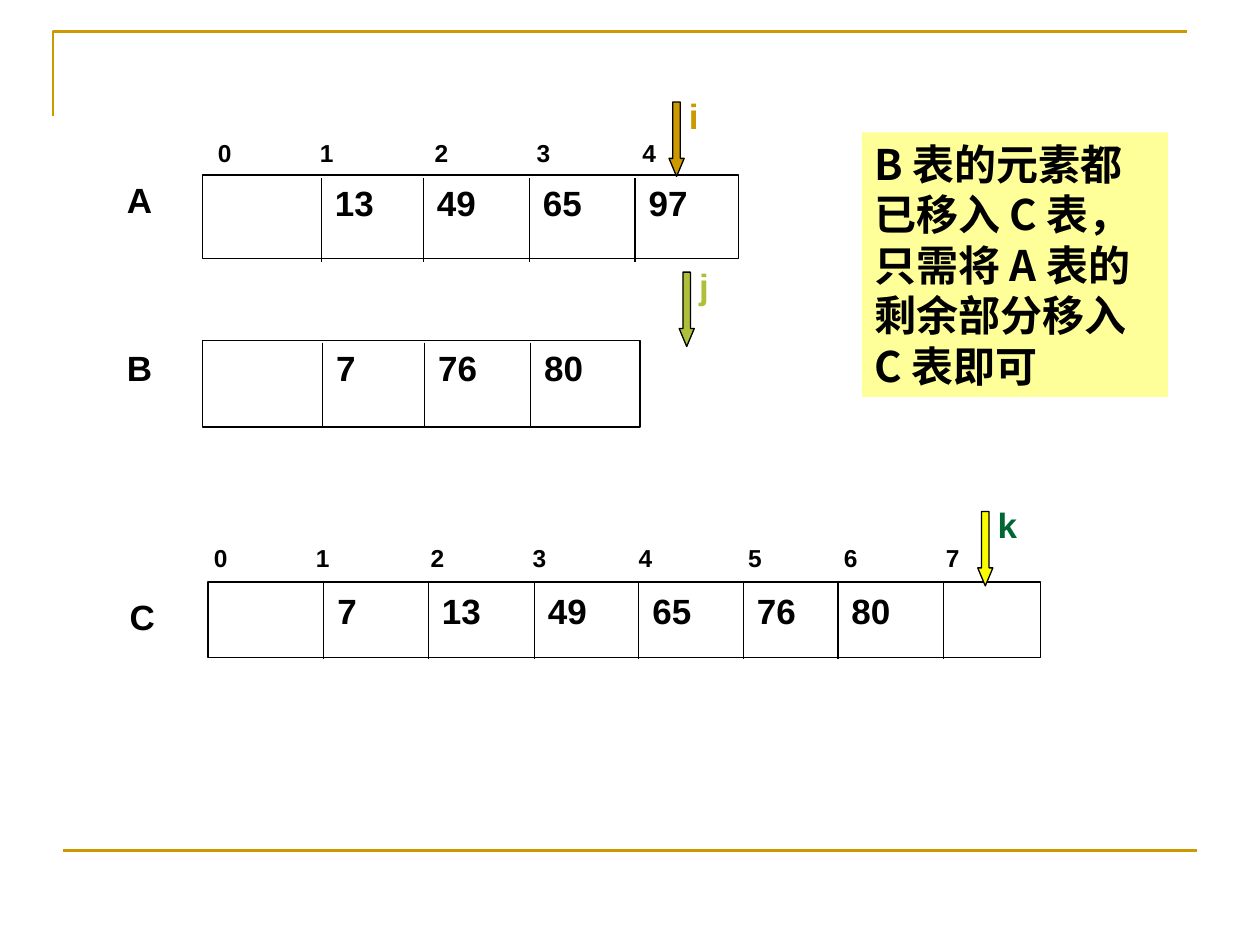
"""Build a slide showing the final step of merging lists A and B into C."""
from dataclasses import dataclass

from lxml import etree
from pptx import Presentation
from pptx import util as u
from pptx.dml.color import RGBColor
from pptx.enum import shapes, text
from pptx.oxml.ns import qn


@dataclass(frozen=True)
class Theme:
    latin: str = "Arial"
    cjk: str = "Noto Sans CJK SC"
    ink: str = "000000"
    paper: str = "FFFFFF"
    gold: str = "CC9900"
    olive: str = "AFBF39"
    yellow: str = "FAFD00"
    green: str = "006633"
    note: str = "FFFF99"
    index_size: float = 14
    value_size: float = 20
    note_size: float = 24
    note_leading: float = 28.8
    thin: float = 0.75
    rule: float = 1.5


class MergeSlide:
    def __init__(self, s, theme):
        self.s = s
        self.t = theme

    def stroke(self, line, color, width):
        line.color.rgb = RGBColor.from_string(color)
        line.width = u.Pt(width)

    def line(self, x1, y1, x2, y2, color=None, width=None):
        c = self.s.shapes.add_connector(
            shapes.MSO_CONNECTOR.STRAIGHT, *map(u.Inches, (x1, y1, x2, y2)))
        self.stroke(c.line, color or self.t.ink, width or self.t.thin)
        etree.SubElement(c._element.spPr, qn("a:effectLst"))

    def frame(self, points):
        start, *rest = [(u.Inches(x), u.Inches(y)) for x, y in points]
        fb = self.s.shapes.build_freeform(*start)
        fb.add_line_segments(rest, close=False)
        sp = fb.convert_to_shape()
        sp.shadow.inherit = False
        sp.fill.background()
        self.stroke(sp.line, self.t.gold, self.t.rule)

    def shape(self, kind, x, y, w, h, fill, outlined=True):
        sp = self.s.shapes.add_shape(kind, *map(u.Inches, (x, y, w, h)))
        sp.shadow.inherit = False
        sp.fill.solid()
        sp.fill.fore_color.rgb = RGBColor.from_string(fill)
        if outlined:
            self.stroke(sp.line, self.t.ink, self.t.thin)
        else:
            sp.line.fill.background()
        return sp

    def set_text(self, sp, words, size, color, font, tabs=()):
        tf = sp.text_frame
        tf.word_wrap = True
        tf.vertical_anchor = text.MSO_ANCHOR.TOP
        p = tf.paragraphs[0]
        p.text = words
        p.alignment = text.PP_ALIGN.LEFT
        if tabs:
            stops = etree.SubElement(p._p.get_or_add_pPr(), qn("a:tabLst"))
            for tab in tabs:
                etree.SubElement(stops, qn("a:tab"), pos=str(u.Inches(tab)), algn="l")
        f = p.font
        f.size = u.Pt(size)
        f.bold = True
        f.color.rgb = RGBColor.from_string(color)
        f.name = font
        etree.SubElement(f._rPr, qn("a:ea"), typeface=self.t.cjk)
        return p

    def label(self, words, x, y, w=0.67, h=0.44, size=None, color=None, tabs=()):
        sp = self.s.shapes.add_textbox(*map(u.Inches, (x, y, w, h)))
        self.set_text(sp, words, size or self.t.value_size, color or self.t.ink,
                      self.t.latin, tabs)

    def indices(self, x, y, w, offsets):
        words = "\t".join(str(i) for i in range(len(offsets) + 1))
        self.label(words, x, y, w, 0.34, self.t.index_size, tabs=offsets)

    def array(self, name, name_at, edges, top, height, divider, values, value_top):
        self.shape(shapes.MSO_SHAPE.RECTANGLE, edges[0], top,
                   edges[-1] - edges[0], height, self.t.paper)
        for x in edges[1:-1]:
            self.line(x, divider[0], x, divider[1])
        for x, value in zip(edges[1:], values):
            self.label(str(value), x + 0.01, value_top)
        self.label(name, *name_at)

    def pointer(self, name, x, y, fill, color):
        sp = self.shape(shapes.MSO_SHAPE.DOWN_ARROW, x, y, 0.12, 0.59, fill)
        sp.adjustments[0] = 0.5
        sp.adjustments[1] = 1.19
        self.label(name, x + 0.06, y - 0.11, 0.53, color=color)

    def note(self, words, x, y, w, h):
        sp = self.shape(shapes.MSO_SHAPE.RECTANGLE, x, y, w, h, self.t.note, False)
        p = self.set_text(sp, words, self.t.note_size, self.t.ink, self.t.cjk)
        p.line_spacing = u.Pt(self.t.note_leading)


def main():
    prs = Presentation()
    prs.slide_width, prs.slide_height = u.Inches(10), u.Inches(7.5)
    t = Theme()
    m = MergeSlide(prs.slides.add_slide(prs.slide_layouts[6]), t)

    m.frame([(0.42, 0.92), (0.42, 0.25), (9.42, 0.25)])
    m.line(0.5, 6.75, 9.5, 6.75, t.gold, t.rule)

    offsets = [0.81, 1.72, 2.53, 3.37, 4.24, 5.0, 5.81]
    m.indices(1.63, 1.05, 4.25, offsets[:4])
    m.array("A", (0.91, 1.37), [1.61, 2.55, 3.36, 4.2, 5.04, 5.86],
            1.39, 0.66, (1.41, 2.08), [13, 49, 65, 97], 1.39)
    m.array("B", (0.91, 2.7), [1.61, 2.56, 3.37, 4.21, 5.08],
            2.7, 0.69, (2.72, 3.38), [7, 76, 80], 2.7)
    m.array("C", (0.93, 4.68), [1.65, 2.57, 3.4, 4.24, 5.07, 5.9, 6.65, 7.49, 8.26],
            4.62, 0.6, (4.62, 5.23), [7, 13, 49, 65, 76, 80], 4.63)
    m.indices(1.6, 4.26, 6.66, offsets)

    m.pointer("i", 5.31, 0.81, t.gold, t.gold)
    m.pointer("j", 5.39, 2.16, t.olive, t.olive)
    m.pointer("k", 7.76, 4.06, t.yellow, t.green)
    m.note("B 表的元素都已移入 C 表，只需将 A 表的剩余部分移入 C 表即可",
           6.84, 1.05, 2.43, 2.1)
    prs.save("out.pptx")


if __name__ == "__main__":
    main()
